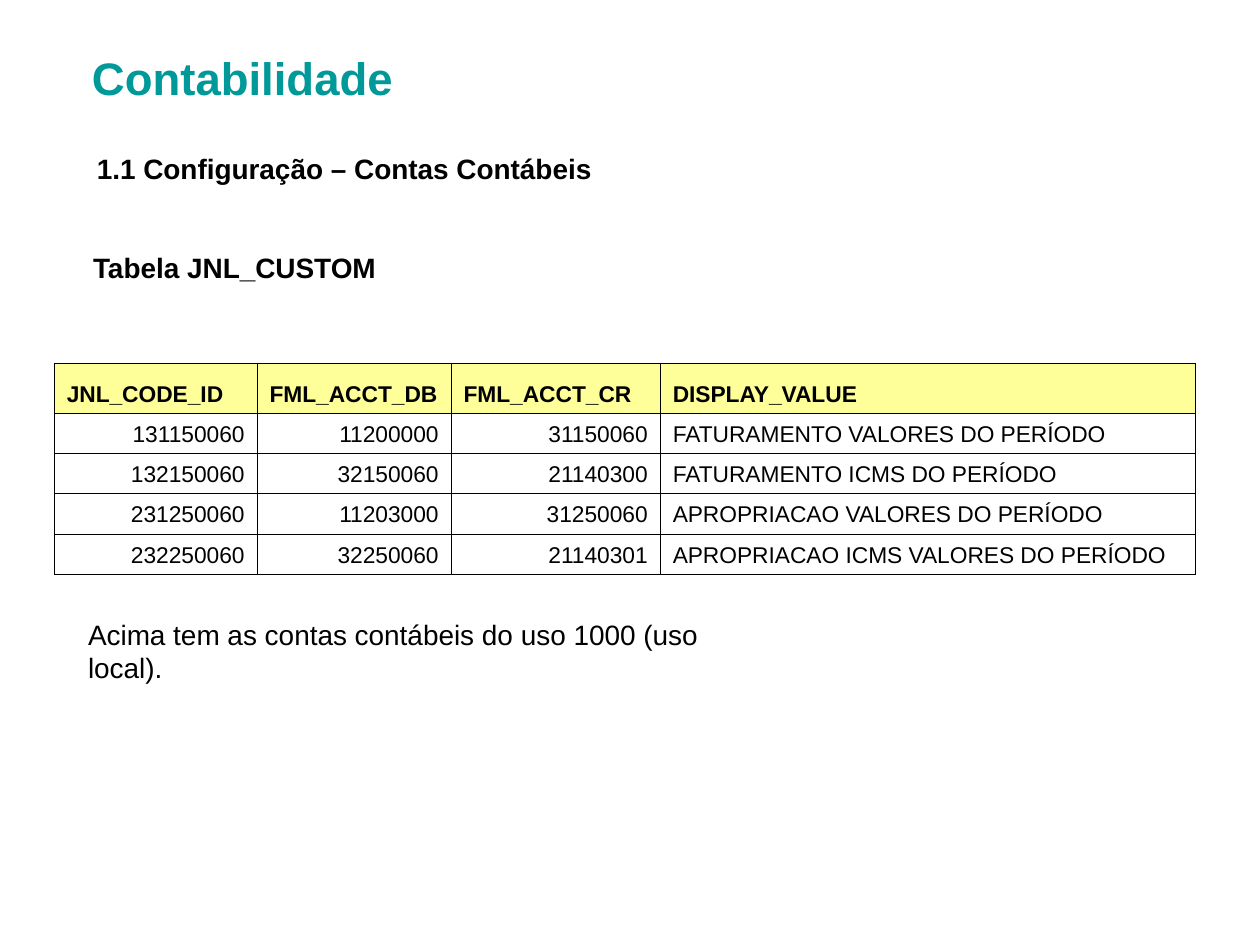
import pptx
import pptx.dml.color
import pptx.enum.text
import pptx.oxml
import pptx.oxml.ns
import pptx.util

TEAL = pptx.dml.color.RGBColor(0x00, 0x99, 0x99)
BLACK = pptx.dml.color.RGBColor(0x00, 0x00, 0x00)
YELLOW = pptx.dml.color.RGBColor(0xFF, 0xFF, 0x99)
ALIGN = pptx.enum.text.PP_ALIGN
ANCHOR = pptx.enum.text.MSO_ANCHOR
AUTO_SIZE = pptx.enum.text.MSO_AUTO_SIZE

HEADER = ["JNL_CODE_ID", "FML_ACCT_DB", "FML_ACCT_CR", "DISPLAY_VALUE"]
ACCOUNTS = [
    ["131150060", "11200000", "31150060", "FATURAMENTO VALORES DO PERÍODO"],
    ["132150060", "32150060", "21140300", "FATURAMENTO ICMS DO PERÍODO"],
    ["231250060", "11203000", "31250060", "APROPRIACAO VALORES DO PERÍODO"],
    ["232250060", "32250060", "21140301", "APROPRIACAO ICMS VALORES DO PERÍODO"],
]


class SlideBuilder:
    font_name = "Arial"
    columns = 100
    rows = 75
    border_width = pptx.util.Pt(0.45)

    def __init__(self, deck):
        self.deck = deck
        self.slide = deck.slides.add_slide(deck.slide_layouts[5])

    def across(self, count):
        return round(self.deck.slide_width * count / self.columns)

    def down(self, count):
        return round(self.deck.slide_height * count / self.rows)

    def place(self, left, top, width, height):
        return self.across(left), self.down(top), self.across(width), self.down(height)

    def style(self, frame, size, color=BLACK, bold=False, align=ALIGN.LEFT):
        para = frame.paragraphs[0]
        para.alignment = align
        for span in para.runs:
            span.font.name = self.font_name
            span.font.size = pptx.util.Pt(size)
            span.font.bold = bold
            span.font.color.rgb = color

    def title(self, text, *area):
        box = self.slide.shapes.title
        box.left, box.top, box.width, box.height = self.place(*area)
        frame = box.text_frame
        frame.text = text
        frame.margin_left = self.across(3)
        frame.vertical_anchor = ANCHOR.MIDDLE
        frame.auto_size = AUTO_SIZE.NONE
        self.style(frame, 26, TEAL, bold=True)

    def line(self, text, *area, bold=False):
        frame = self.slide.shapes.add_textbox(*self.place(*area)).text_frame
        frame.text = text
        frame.word_wrap = False
        frame.auto_size = AUTO_SIZE.SHAPE_TO_FIT_TEXT
        self.style(frame, 16, bold=bold)

    def border(self, cell):
        properties = cell._tc.get_or_add_tcPr()
        for index, side in enumerate(("lnL", "lnR", "lnT", "lnB")):
            edge = pptx.oxml.parse_xml(
                f'<a:{side} {pptx.oxml.ns.nsdecls("a")} w="{self.border_width}">'
                f'<a:solidFill><a:srgbClr val="{BLACK}"/></a:solidFill></a:{side}>'
            )
            properties.insert(index, edge)

    def cell(self, cell, text, is_header):
        cell.text = text
        cell.vertical_anchor = ANCHOR.BOTTOM
        if is_header:
            cell.fill.solid()
            cell.fill.fore_color.rgb = YELLOW
        else:
            cell.fill.background()
        align = ALIGN.RIGHT if text.isdigit() else ALIGN.LEFT
        self.style(cell.text_frame, 13, bold=is_header, align=align)
        self.border(cell)

    def table(self, records, left, top, widths, heights):
        area = self.place(left, top, sum(widths), sum(heights))
        table = self.slide.shapes.add_table(len(records), len(widths), *area).table
        for column, width in zip(table.columns, widths):
            column.width = self.across(width)
        for row, height in zip(table.rows, heights):
            row.height = self.down(height)
        for row_index, record in enumerate(records):
            for column_index, text in enumerate(record):
                self.cell(table.cell(row_index, column_index), text, row_index == 0)


def main():
    deck = pptx.Presentation()
    deck.slide_width = pptx.util.Inches(10)
    deck.slide_height = pptx.util.Inches(7.5)
    page = SlideBuilder(deck)
    page.title("Contabilidade", 4.3, 3.6, 84.3, 5)
    page.line("1.1 Configuração – Contas Contábeis", 6.7, 11.5, 41.3, 3.7, bold=True)
    page.line("Tabela JNL_CUSTOM", 6.4, 19.4, 24.6, 3.7, bold=True)
    page.table(
        [HEADER] + ACCOUNTS, 4.3, 28.8,
        widths=[16.1, 15.4, 16.6, 42.5],
        heights=[4] + [3.2] * len(ACCOUNTS),
    )
    page.line("Acima tem as contas contábeis do uso 1000 (uso local).", 6, 48.5, 56.9, 3.7)
    deck.save("out.pptx")


if __name__ == "__main__":
    main()
